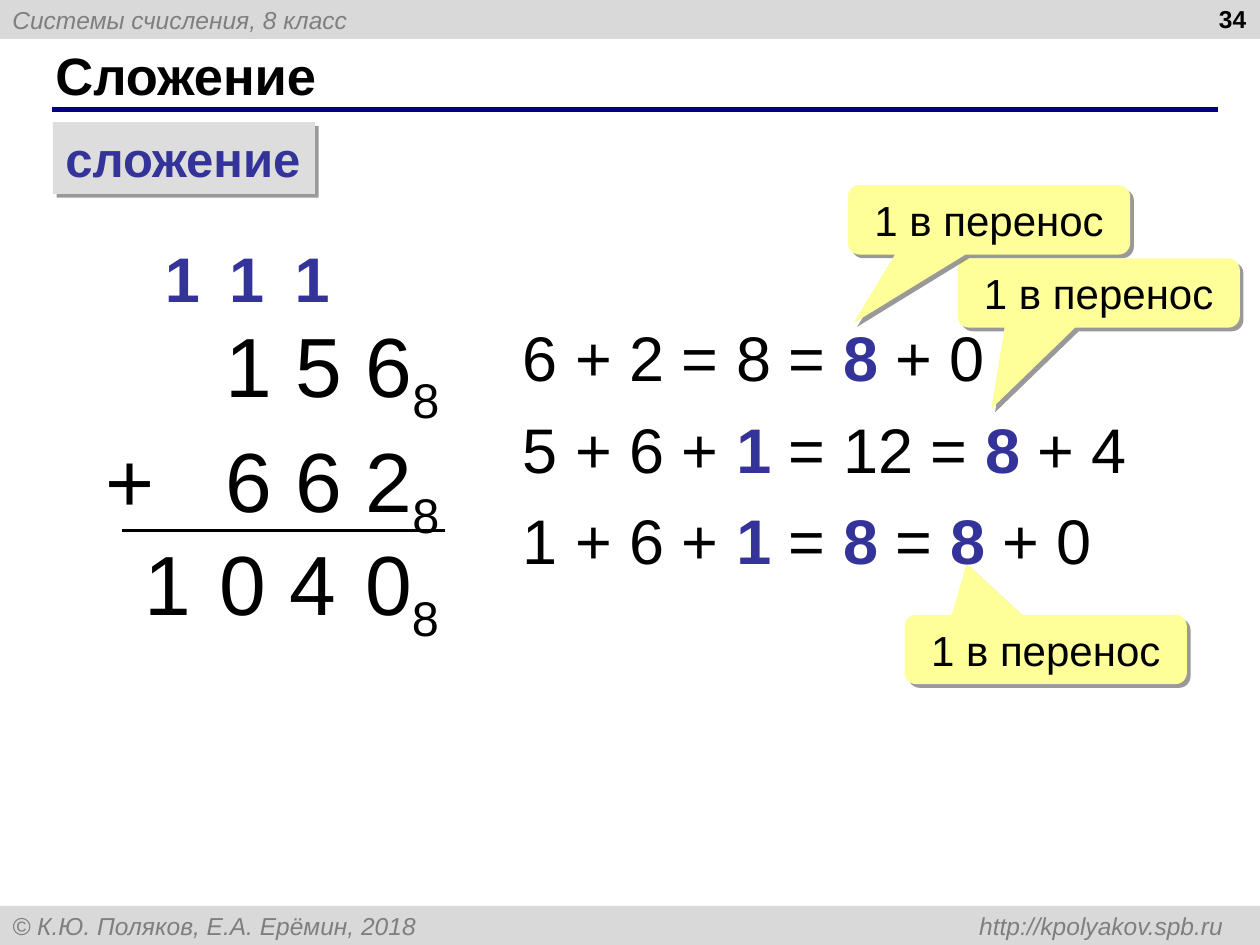
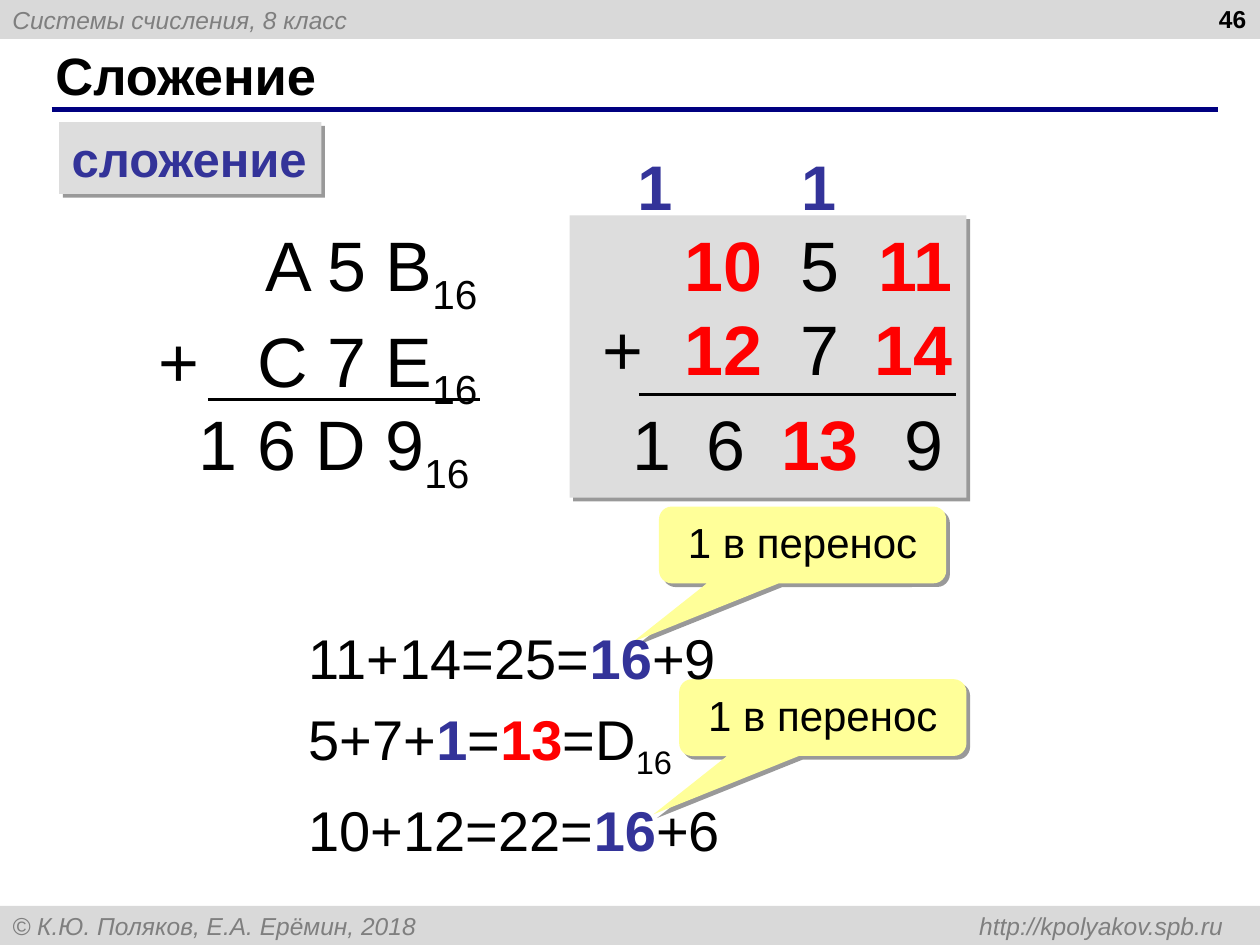
from lxml.etree import SubElement
from pptx import Presentation
from pptx.dml.color import RGBColor
from pptx.enum.shapes import MSO_CONNECTOR, MSO_SHAPE
from pptx.enum.text import MSO_ANCHOR, MSO_AUTO_SIZE, PP_ALIGN
from pptx.oxml.ns import qn
from pptx.util import Inches, Pt

BLACK = RGBColor(0x00, 0x00, 0x00)
BAND_GRAY = RGBColor(0xD9, 0xD9, 0xD9)
BAND_TEXT = RGBColor(0x7F, 0x7F, 0x7F)
PANEL_GRAY = RGBColor(0xDD, 0xDD, 0xDD)
NAVY = RGBColor(0x00, 0x00, 0x80)
BLUE = RGBColor(0x33, 0x33, 0x99)
RED = RGBColor(0xFF, 0x00, 0x00)
YELLOW = RGBColor(0xFF, 0xFF, 0x99)
FONT = "Arial"
SUBSCRIPT = "subscript"

presentation = Presentation()
presentation.slide_width = Inches(10)
presentation.slide_height = Inches(7.5)
COLUMN = presentation.slide_width / 10
ROW = presentation.slide_height / 7.5


def add_box(slide, box, lines, size, color=BLACK, bold=False, italic=False, kind=None, fill=None,
            shadow=False, align=PP_ALIGN.LEFT, anchor=MSO_ANCHOR.TOP, gap=0, tabs=()):
    left, top, width, height = box
    place = [round(left * COLUMN), round(top * ROW), round(width * COLUMN), round(height * ROW)]
    if kind is None:
        shape = slide.shapes.add_textbox(*place)
    else:
        shape = slide.shapes.add_shape(kind, *place)
        shape.shadow.inherit = False
        shape.fill.solid()
        shape.fill.fore_color.rgb = fill
        shape.line.fill.background()
    if shadow:
        effects = shape._element.spPr.find(qn("a:effectLst"))
        outer = SubElement(effects, qn("a:outerShdw"), dist=str(Pt(3)), dir="2700000",
                           algn="ctr", rotWithShape="0")
        tint = SubElement(outer, qn("a:srgbClr"), val="000000")
        SubElement(tint, qn("a:alpha"), val="40000")
    frame = shape.text_frame
    frame.word_wrap = True
    frame.vertical_anchor = anchor
    for index, line in enumerate(lines):
        paragraph = frame.paragraphs[0] if index == 0 else frame.add_paragraph()
        paragraph.alignment = align
        if tabs:
            tab_list = SubElement(paragraph._p.get_or_add_pPr(), qn("a:tabLst"))
            for position, side in tabs:
                SubElement(tab_list, qn("a:tab"), pos=str(round(position * COLUMN)), algn=side)
        if index and gap:
            paragraph.space_before = Pt(gap)
        paragraph.font.name = FONT
        paragraph.font.size = Pt(size)
        paragraph.font.bold = bold
        paragraph.font.italic = italic
        paragraph.font.color.rgb = color
        for part in [line] if isinstance(line, str) else line:
            words, style = (part, None) if isinstance(part, str) else part
            run = paragraph.add_run()
            run.text = words
            if style == SUBSCRIPT:
                run._r.get_or_add_rPr().set("baseline", "-25000")
            elif style is not None:
                run.font.bold = True
                run.font.color.rgb = style
    return shape


def add_rule(slide, start, end, level, color, weight):
    line = slide.shapes.add_connector(MSO_CONNECTOR.STRAIGHT, round(start * COLUMN),
                                      round(level * ROW), round(end * COLUMN), round(level * ROW))
    line.line.color.rgb = color
    line.line.width = Pt(weight)
    SubElement(line._element.spPr, qn("a:effectLst"))


slides = []
for number, label_left in [("34", 0.42), ("46", 0.47)]:
    slide = presentation.slides.add_slide(presentation.slide_layouts[5])
    slides.append(slide)
    for top, band_text in [(0, "Системы счисления, 8 класс"),
                           (7.19, "© К.Ю. Поляков, Е.А. Ерёмин, 2018\thttp://kpolyakov.spb.ru")]:
        add_box(slide, (0, top, 10, 0.31), [band_text], 14, BAND_TEXT, italic=True,
                kind=MSO_SHAPE.RECTANGLE, fill=BAND_GRAY, anchor=MSO_ANCHOR.MIDDLE,
                tabs=[(9.61, "r")])
    add_rule(slide, 0.41, 9.67, 0.87, NAVY, 3)
    title = slide.shapes.title
    title.left, title.top = round(0.34 * COLUMN), round(0.33 * ROW)
    title.width, title.height = round(9.16 * COLUMN), round(0.52 * ROW)
    title.text_frame.text = "Сложение"
    title.text_frame.auto_size = MSO_AUTO_SIZE.NONE
    title.text_frame.vertical_anchor = MSO_ANCHOR.MIDDLE
    paragraph = title.text_frame.paragraphs[0]
    paragraph.alignment = PP_ALIGN.LEFT
    paragraph.font.name = FONT
    paragraph.font.size = Pt(30)
    paragraph.font.bold = True
    paragraph.font.color.rgb = BLACK
    add_box(slide, (7.66, -0.02, 2.33, 0.52), [number], 14, bold=True, align=PP_ALIGN.RIGHT)
    add_box(slide, (label_left, 0.97, 2.08, 0.57), ["сложение"], 28, BLUE, bold=True,
            kind=MSO_SHAPE.RECTANGLE, fill=PANEL_GRAY, shadow=True)

octal, hexadecimal = slides

add_box(octal, (0.46, 2.44, 3.23, 2.72),
        [["\t\t1 5 6", ("8", SUBSCRIPT)], ["\t+\t6 6 2", ("8", SUBSCRIPT)]],
        48, tabs=[(0.28, "l"), (2.93, "r")])
add_rule(octal, 0.97, 3.53, 4.21, BLACK, 2)
for left, digit in [(1.05, "1"), (1.64, "0"), (2.2, "4")]:
    add_box(octal, (left, 4.17, 0.6, 0.9), [digit], 48)
add_box(octal, (2.8, 4.17, 0.9, 1.01), [["0", ("8", SUBSCRIPT)]], 48)

add_box(hexadecimal, (0.94, 1.71, 2.99, 2.24),
        [["\t\tA 5 B", ("16", SUBSCRIPT)], ["\t+\tC 7 E", ("16", SUBSCRIPT)]],
        40, tabs=[(0.22, "l"), (2.75, "r")])
add_box(hexadecimal, (1.48, 3.13, 2.6, 0.86), [["1 6 D 9", ("16", SUBSCRIPT)]], 40)
add_rule(hexadecimal, 1.65, 3.81, 3.17, BLACK, 2)
add_box(hexadecimal, (4.52, 1.71, 3.15, 2.24),
        [["\t\t", ("10", RED), "\t5\t", ("11", RED)],
         ["\t+\t", ("12", RED), "\t7\t", ("14", RED)]],
        40, kind=MSO_SHAPE.RECTANGLE, fill=PANEL_GRAY, shadow=True,
        tabs=[(0.16, "l"), (1.12, "ctr"), (1.89, "ctr"), (2.94, "r")])
add_rule(hexadecimal, 5.07, 7.59, 3.13, BLACK, 2)
for left, width, digit in [(4.92, 0.55, "1"), (5.51, 0.55, "6"),
                           (6.1, 0.95, ("13", RED)), (7.08, 0.55, "9")]:
    add_box(hexadecimal, (left, 3.13, width, 0.77), [[digit]], 40)

for slide, top, lefts in [(octal, 1.85, [1.21, 1.72, 2.24]), (hexadecimal, 1.12, [4.96, 6.26])]:
    for left in lefts:
        add_box(slide, (left, top, 0.5, 0.7), ["1"], 36, BLUE, bold=True)

for slide, box, pointer in [(octal, (7.6, 2.05, 2.24, 0.55), (-0.38, 1.67)),
                            (octal, (6.73, 1.47, 2.24, 0.55), (-0.48, 1.49)),
                            (octal, (7.18, 4.88, 2.24, 0.55), (-0.28, -1.24)),
                            (hexadecimal, (5.23, 4.02, 2.28, 0.61), (-0.59, 1.26)),
                            (hexadecimal, (5.39, 5.39, 2.28, 0.61), (-0.59, 1.26))]:
    callout = add_box(slide, box, ["1 в перенос"], 24, kind=MSO_SHAPE.ROUNDED_RECTANGULAR_CALLOUT,
                      fill=YELLOW, shadow=True, align=PP_ALIGN.CENTER)
    callout.adjustments[0], callout.adjustments[1] = pointer

add_box(octal, (4.05, 2.48, 5.31, 2.09),
        [["6 + 2 = 8 = ", ("8 ", BLUE), "+ 0"],
         ["5 + 6 + ", ("1 ", BLUE), "= 12 = ", ("8 ", BLUE), "+ 4"],
         ["1 + 6 + ", ("1 ", BLUE), "= ", ("8 ", BLUE), "= ", ("8 ", BLUE), "+ 0"]],
        36, gap=9)
add_box(hexadecimal, (2.35, 4.9, 5.32, 1.81),
        [["11+14=25=", ("16", BLUE), "+9"],
         ["5+7+", ("1", BLUE), "=", ("13", RED), "=D", ("16", SUBSCRIPT)],
         ["10+12=22=", ("16", BLUE), "+6"]],
        32, gap=8)

presentation.save("out.pptx")
